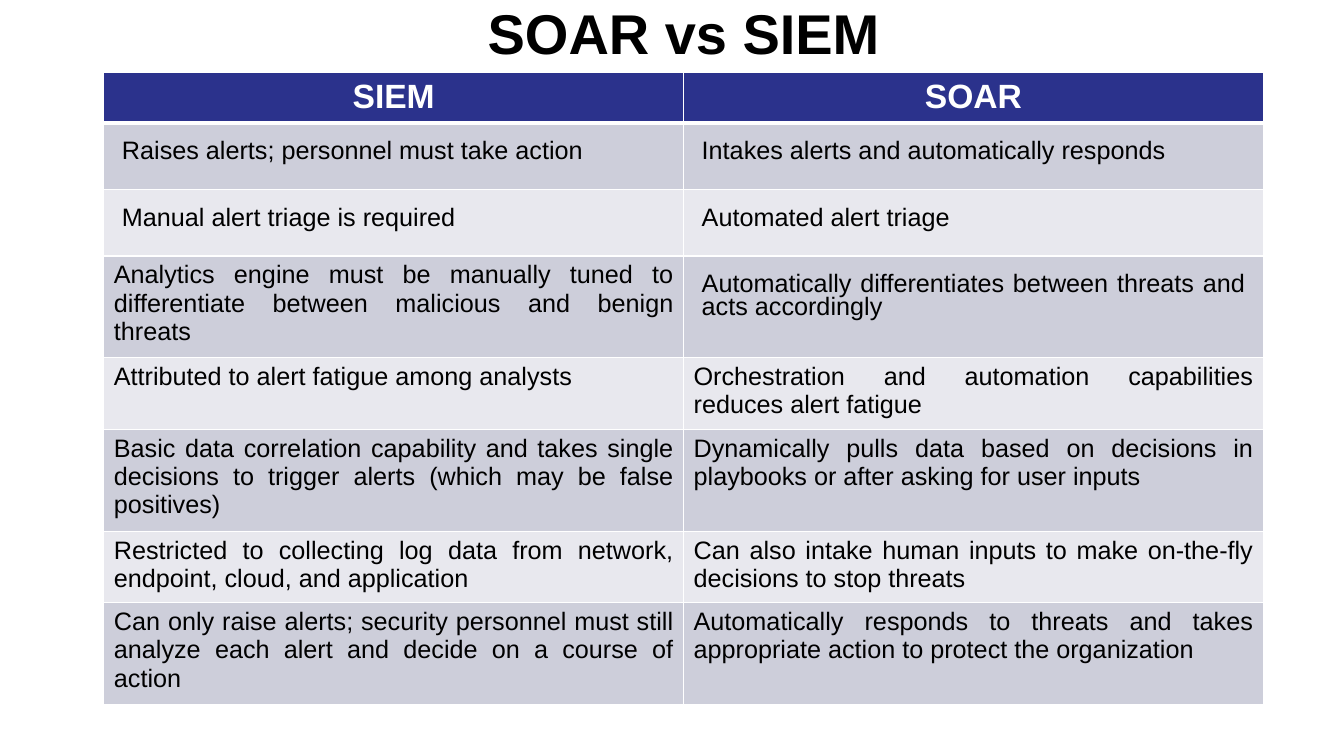
from dataclasses import dataclass

from lxml.etree import SubElement
from pptx import Presentation
from pptx.dml.color import RGBColor
from pptx.enum.text import MSO_ANCHOR, PP_ALIGN
from pptx.oxml.ns import qn
from pptx.util import Inches, Pt

FONT = "Arial"
BLACK, WHITE, NAVY = "000000", "FFFFFF", "2B328C"
BANDS = ("CDCEDA", "E8E8EE")
COLUMN_WIDTH = 5.75
HEADER_HEIGHT = 0.48


@dataclass
class Entry:
    text: str
    padded: bool = False  # wide margins and tight, exact line spacing


@dataclass
class Comparison:
    height: float
    siem: Entry
    soar: Entry


COMPARISONS = [
    Comparison(0.66, Entry("Raises alerts; personnel must take action", True),
               Entry("Intakes alerts and automatically responds", True)),
    Comparison(0.66, Entry("Manual alert triage is required", True),
               Entry("Automated alert triage", True)),
    Comparison(1.01, Entry("Analytics engine must be manually tuned to differentiate "
                           "between malicious and benign threats"),
               Entry("Automatically differentiates between threats and acts accordingly", True)),
    Comparison(0.71, Entry("Attributed to alert fatigue among analysts"),
               Entry("Orchestration and automation capabilities reduces alert fatigue")),
    Comparison(1.01, Entry("Basic data correlation capability and takes single decisions "
                           "to trigger alerts (which may be false positives)"),
               Entry("Dynamically pulls data based on decisions in playbooks "
                     "or after asking for user inputs")),
    Comparison(0.71, Entry("Restricted to collecting log data from network, endpoint, "
                           "cloud, and application"),
               Entry("Can also intake human inputs to make on-the-fly decisions to stop threats")),
    Comparison(1.01, Entry("Can only raise alerts; security personnel must still analyze "
                           "each alert and decide on a course of action"),
               Entry("Automatically responds to threats and takes appropriate action "
                     "to protect the organization")),
]


def rgb(value: str) -> RGBColor:
    return RGBColor.from_string(value)


def style_text(paragraph, size: float, color: str, bold: bool, align: PP_ALIGN) -> None:
    paragraph.alignment = align
    for run in paragraph.runs:
        run.font.name = FONT
        run.font.size = Pt(size)
        run.font.bold = bold
        run.font.color.rgb = rgb(color)


def add_borders(cell, top: float, bottom: float) -> None:
    """Draw white borders; the fill must be set afterwards to keep the XML order."""
    properties = cell._tc.get_or_add_tcPr()
    for side, width in (("lnL", 1), ("lnR", 1), ("lnT", top), ("lnB", bottom)):
        line = SubElement(properties, qn(f"a:{side}"), w=str(Pt(width)))
        fill = SubElement(line, qn("a:solidFill"))
        SubElement(fill, qn("a:srgbClr"), val=WHITE)


def fill_cell(cell, entry: Entry, background: str, top: float = 1, bottom: float = 1) -> None:
    cell.text_frame.text = entry.text
    if entry.padded:
        cell.margin_left = cell.margin_right = Inches(0.18)
        cell.margin_top = cell.margin_bottom = Inches(0.2)
        cell.text_frame.paragraphs[0].line_spacing = Pt(15.8)
    add_borders(cell, top, bottom)
    cell.fill.solid()
    cell.fill.fore_color.rgb = rgb(background)


def add_title(slide) -> None:
    title = slide.shapes.add_textbox(Inches(4.54), Inches(0), Inches(4.48), Inches(0.72))
    frame = title.text_frame
    frame.word_wrap = True
    frame.vertical_anchor = MSO_ANCHOR.MIDDLE
    frame.text = "SOAR vs SIEM"
    frame.paragraphs[0].line_spacing = 0.9
    style_text(frame.paragraphs[0], 40, BLACK, True, PP_ALIGN.CENTER)


def add_comparison_table(slide) -> None:
    height = HEADER_HEIGHT + sum(comparison.height for comparison in COMPARISONS)
    table = slide.shapes.add_table(len(COMPARISONS) + 1, 2, Inches(1.03), Inches(0.72),
                                   Inches(2 * COLUMN_WIDTH), Inches(height)).table
    for column in table.columns:
        column.width = Inches(COLUMN_WIDTH)

    # Header row
    table.rows[0].height = Inches(HEADER_HEIGHT)
    for column, heading in enumerate(("SIEM", "SOAR")):
        cell = table.cell(0, column)
        fill_cell(cell, Entry(heading), NAVY, bottom=3)
        style_text(cell.text_frame.paragraphs[0], 24, WHITE, True, PP_ALIGN.CENTER)

    # Banded comparison rows
    for row, comparison in enumerate(COMPARISONS, start=1):
        table.rows[row].height = Inches(comparison.height)
        for column, entry in enumerate((comparison.siem, comparison.soar)):
            cell = table.cell(row, column)
            fill_cell(cell, entry, BANDS[(row - 1) % 2], top=3 if row == 1 else 1)
            style_text(cell.text_frame.paragraphs[0], 18, BLACK, False, PP_ALIGN.JUSTIFY)


def main() -> None:
    presentation = Presentation()
    presentation.slide_width = Inches(13.33)
    presentation.slide_height = Inches(7.5)
    slide = presentation.slides.add_slide(presentation.slide_layouts[6])
    add_title(slide)
    add_comparison_table(slide)
    presentation.save("out.pptx")


if __name__ == "__main__":
    main()
